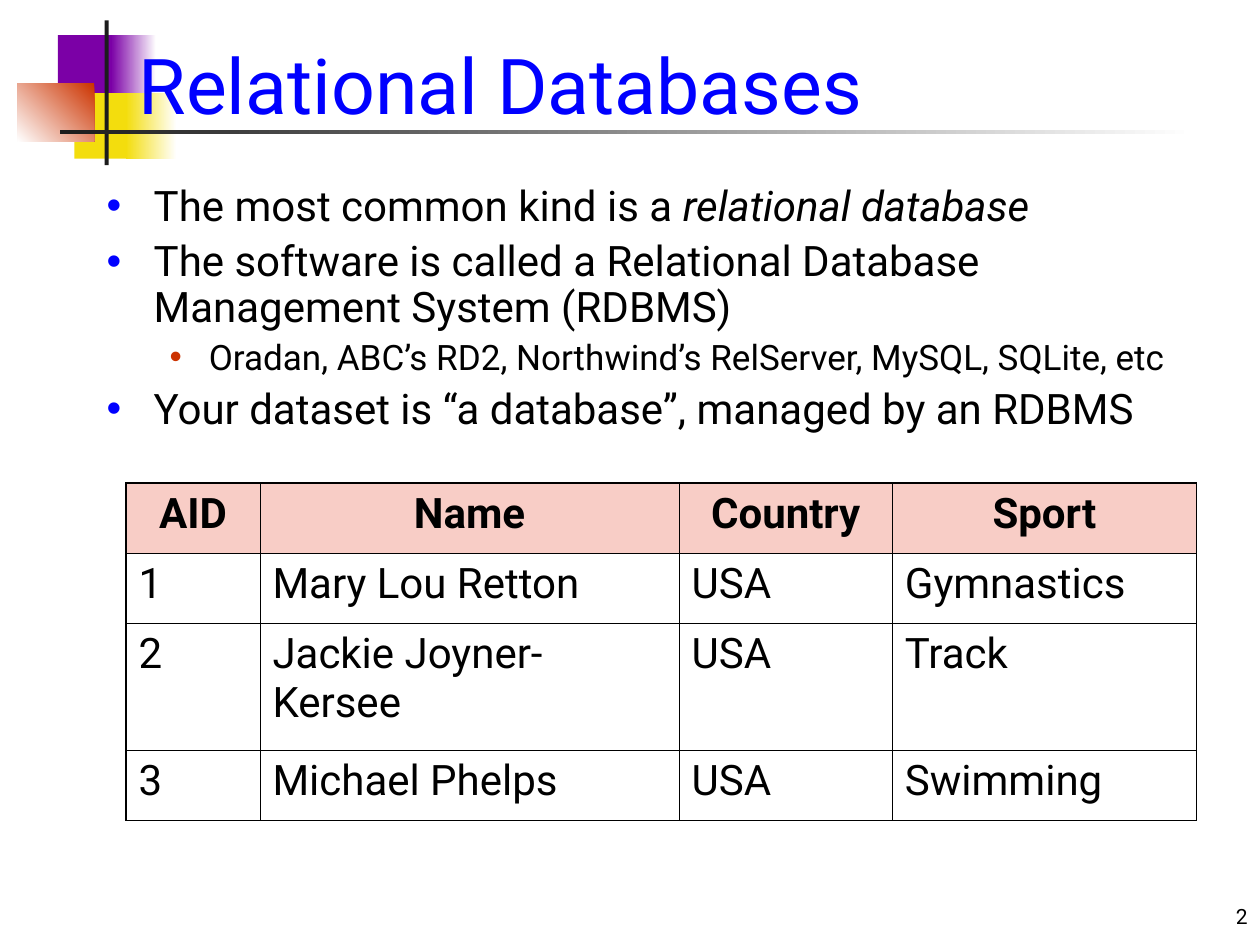
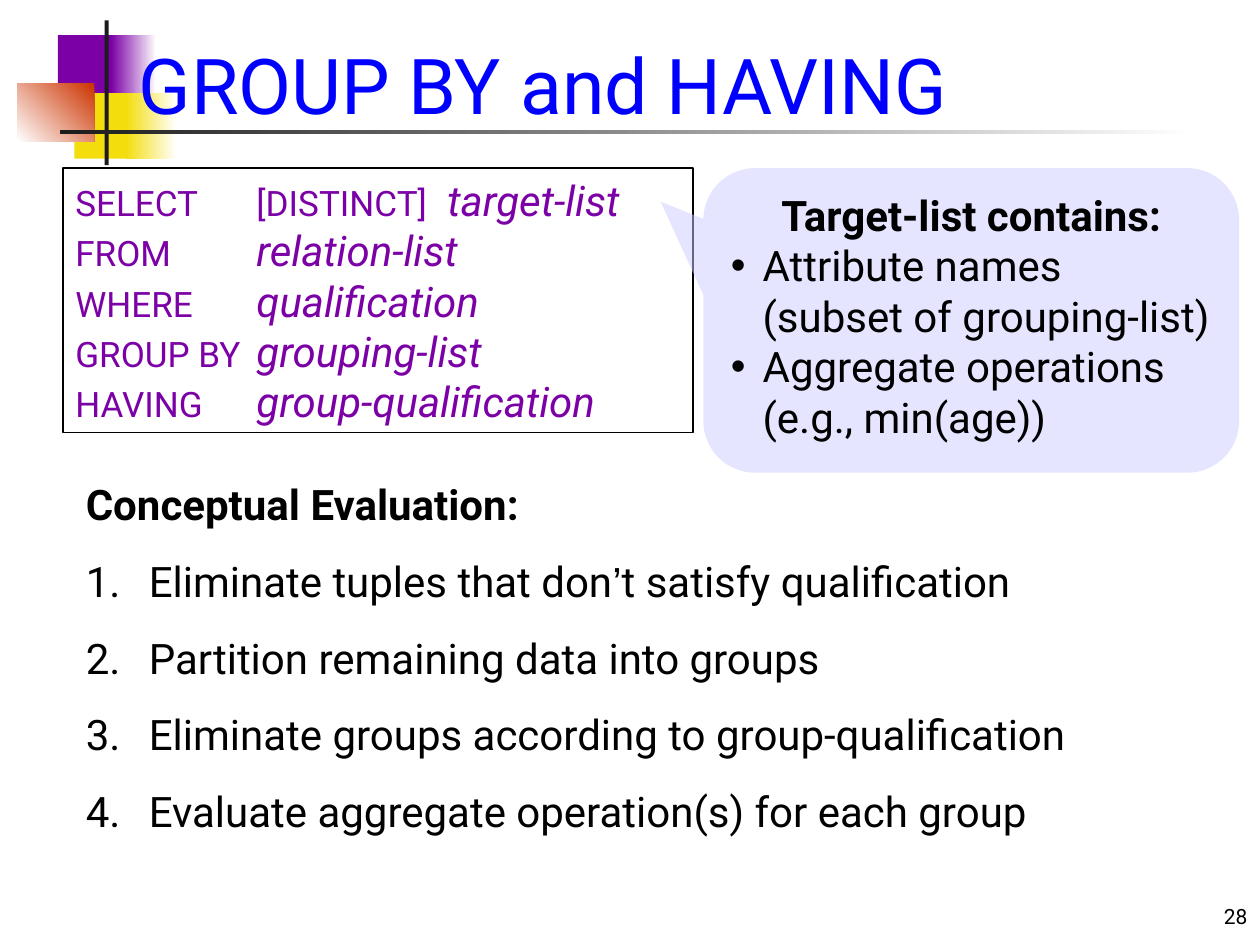
from dataclasses import dataclass

from lxml import etree
from pptx import Presentation
from pptx.dml.color import RGBColor
from pptx.enum.shapes import MSO_SHAPE
from pptx.enum.text import MSO_ANCHOR, MSO_AUTO_SIZE, PP_ALIGN
from pptx.oxml.ns import qn
from pptx.util import Cm, Pt

RECTANGLE = MSO_SHAPE.RECTANGLE
CALLOUT = MSO_SHAPE.ROUNDED_RECTANGULAR_CALLOUT
TOP, BOTTOM = MSO_ANCHOR.TOP, MSO_ANCHOR.BOTTOM
LEFT, CENTER, RIGHT = PP_ALIGN.LEFT, PP_ALIGN.CENTER, PP_ALIGN.RIGHT
NO_AUTOFIT = MSO_AUTO_SIZE.NONE
TITLE_ONLY = 5


@dataclass(frozen=True)
class Theme:
    font: str = "Roboto"
    fallback_font: str = "Arial"
    black: str = "000000"
    white: str = "FFFFFF"
    blue: str = "0000FF"
    purple: str = "7B00A6"
    yellow: str = "F3DD0D"
    red: str = "CC3300"
    charcoal: str = "1C1C1C"
    header_pink: str = "F8CDC6"
    callout_lilac: str = "CCCCFF"
    title_size: int = 44
    text_size: int = 24
    small_size: int = 20
    number_size: int = 12
    inner_border: float = 0.45
    outer_border: float = 1.08


THEME = Theme()


def rgb(color):
    return RGBColor.from_string(color)


def add_child(parent, tag, **attributes):
    values = {name: str(value) for name, value in attributes.items()}
    return etree.SubElement(parent, qn(tag), values)


def add_bullet(properties, bullet, color):
    """Add a bullet character, or automatic numbers when bullet is "1."."""
    bullet_color = add_child(properties, "a:buClr")
    add_child(bullet_color, "a:srgbClr", val=color)
    if bullet == "1.":
        add_child(properties, "a:buFont", typeface=THEME.font)
        add_child(properties, "a:buAutoNum", type="arabicPeriod")
    else:
        add_child(properties, "a:buFont", typeface=THEME.fallback_font)
        add_child(properties, "a:buChar", char=bullet)


def write(frame, text, *, font=THEME.font, size=THEME.text_size, color=THEME.black,
          bold=False, italic=False, align=LEFT, space_before=0, line_spacing=None,
          level=0, bullet=None, bullet_color=THEME.black, indent=0, hanging=0, tabs=()):
    """Add a paragraph; text is a string or a list of (string, run format) pairs."""
    paragraph = frame.paragraphs[0]
    is_first = not paragraph.runs
    if not is_first:
        paragraph = frame.add_paragraph()
    paragraph.alignment = align
    paragraph.level = level
    paragraph.space_before = Pt(0 if is_first else space_before)
    if line_spacing:
        paragraph.line_spacing = line_spacing

    properties = paragraph._p.get_or_add_pPr()
    if bullet:
        properties.set("marL", str(Cm(indent)))
        properties.set("indent", str(-Cm(hanging)))
        add_bullet(properties, bullet, bullet_color)
    if tabs:
        tab_list = add_child(properties, "a:tabLst")
        for position in tabs:
            add_child(tab_list, "a:tab", pos=Cm(position), algn="l")

    base = dict(font=font, size=size, bold=bold, italic=italic)
    for content, changes in [(text, {})] if isinstance(text, str) else text:
        style = {**base, **changes}
        run = paragraph.add_run()
        run.text = content
        run.font.name = style["font"]
        run.font.size = Pt(style["size"])
        run.font.bold = style["bold"]
        run.font.italic = style["italic"]
        run.font.color.rgb = rgb(color)


def add_text_box(slide, left, top, width, height, anchor=TOP):
    box = slide.shapes.add_textbox(Cm(left), Cm(top), Cm(width), Cm(height))
    box.text_frame.word_wrap = True
    box.text_frame.vertical_anchor = anchor
    return box.text_frame


def add_block(slide, left, top, width, height, preset=RECTANGLE, fill=None,
              gradient=None, outline=None):
    """Add a shape; gradient is (start colour, end colour, angle)."""
    block = slide.shapes.add_shape(preset, Cm(left), Cm(top), Cm(width), Cm(height))
    block.shadow.inherit = False
    block.text_frame.word_wrap = True
    block.text_frame.vertical_anchor = TOP
    if gradient:
        *colors, angle = gradient
        block.fill.gradient()
        block.fill.gradient_angle = angle
        for stop, color in zip(block.fill.gradient_stops, colors):
            stop.color.rgb = rgb(color)
    elif fill:
        block.fill.solid()
        block.fill.fore_color.rgb = rgb(fill)
    else:
        block.fill.background()
    if outline:
        block.line.color.rgb = rgb(outline)
        block.line.width = Pt(1)
    else:
        block.line.fill.background()
    return block


def decorate_layout(slide):
    """Build the corner ornament and title rule, and move them to the layout."""
    ornament = [
        ((1.17, 0.71, 1.22, 1.32), dict(fill=THEME.purple)),
        ((2.24, 0.71, 0.91, 1.32), dict(gradient=(THEME.white, THEME.purple, 180))),
        ((1.5, 1.88, 1.17, 1.32), dict(fill=THEME.yellow)),
        ((2.54, 1.88, 1.02, 1.32), dict(gradient=(THEME.white, THEME.yellow, 180))),
        ((0.35, 1.68, 1.55, 1.17), dict(gradient=(THEME.red, THEME.white, 225))),
        ((2.11, 0.41, 0.08, 2.92), dict(fill=THEME.charcoal)),
        ((1.22, 2.62, 22.86, 0.08), dict(gradient=(THEME.white, THEME.charcoal, 180))),
    ]
    for bounds, paint in ornament:
        block = add_block(slide, *bounds, **paint)
        slide.slide_layout.shapes.element.append(block.element)


def add_titled_slide(deck, title, number):
    slide = deck.slides.add_slide(deck.slide_layouts[TITLE_ONLY])
    heading = slide.shapes.title
    heading.left, heading.top = Cm(2.54), Cm(-0.43)
    heading.width, heading.height = Cm(22.43), Cm(3.18)
    heading.text_frame.vertical_anchor = BOTTOM
    heading.text_frame.auto_size = NO_AUTOFIT
    write(heading.text_frame, title, size=THEME.title_size, color=THEME.blue)
    page = add_text_box(slide, 20.12, 17.58, 5.28, 1.27, anchor=BOTTOM)
    write(page, str(number), size=THEME.number_size, align=RIGHT)
    return slide


def set_borders(cell, **widths):
    properties = cell._tc.get_or_add_tcPr()
    for side in "LRTB":
        line = add_child(properties, f"a:ln{side}", w=Pt(widths[side]))
        add_child(add_child(line, "a:solidFill"), "a:srgbClr", val=THEME.black)


def add_grid(slide, left, top, column_widths, row_heights, rows):
    frame = slide.shapes.add_table(len(rows), len(column_widths), Cm(left), Cm(top),
                                   Cm(sum(column_widths)), Cm(sum(row_heights)))
    grid = frame.table
    grid.horz_banding = False
    for column, width in zip(grid.columns, column_widths):
        column.width = Cm(width)
    for row, height in zip(grid.rows, row_heights):
        row.height = Cm(height)

    last_row, last_column = len(rows) - 1, len(column_widths) - 1
    for r, values in enumerate(rows):
        for c, value in enumerate(values):
            cell = grid.cell(r, c)
            at_edge = dict(L=c == 0, R=c == last_column, T=r == 0, B=r == last_row)
            set_borders(cell, **{
                side: THEME.outer_border if outer else THEME.inner_border
                for side, outer in at_edge.items()})
            is_header = r == 0
            if is_header:
                cell.fill.solid()
                cell.fill.fore_color.rgb = rgb(THEME.header_pink)
            else:
                cell.fill.background()
            write(cell.text_frame, value, bold=is_header,
                  align=CENTER if is_header else LEFT)


def add_relational_slide(deck):
    slide = add_titled_slide(deck, "Relational Databases", 2)
    decorate_layout(slide)
    point = dict(bullet="•", bullet_color=THEME.blue, indent=0.95, hanging=0.95,
                 space_before=6, line_spacing=0.9)
    example = dict(point, bullet_color=THEME.red, indent=2.06, hanging=0.79,
                   space_before=5, level=1, size=THEME.small_size)
    body = add_text_box(slide, 1.9, 3.6, 22.43, 13.34)
    write(body, [("The most common kind is a ", {}),
                 ("relational database", dict(italic=True))], **point)
    write(body, "The software is called a Relational Database "
                "Management System (RDBMS)", **point)
    write(body, "Oradan, ABC’s RD2, Northwind’s RelServer, MySQL, SQLite, etc", **example)
    write(body, "Your dataset is “a database”, managed by an RDBMS", **point)

    athletes = [
        ("AID", "Name", "Country", "Sport"),
        ("1", "Mary Lou Retton", "USA", "Gymnastics"),
        ("2", "Jackie Joyner-Kersee", "USA", "Track"),
        ("3", "Michael Phelps", "USA", "Swimming"),
    ]
    add_grid(slide, 2.54, 9.74, (2.7, 8.45, 4.3, 6.13), (1.41, 1.41, 2.57, 1.41), athletes)


def add_grouping_slide(deck):
    slide = add_titled_slide(deck, "GROUP BY and HAVING", 28)

    query = add_block(slide, 1.27, 3.39, 12.7, 5.33, outline=THEME.black).text_frame
    keyword = dict(size=THEME.small_size)
    clauses = [
        ("SELECT\t[DISTINCT]\t", "target-list"),
        ("FROM\t", "relation-list"),
        ("WHERE\t", "qualification"),
        ("GROUP BY\t", "grouping-list"),
        ("HAVING\t", "group-qualification"),
    ]
    for words, argument in clauses:
        write(query, [(words, keyword), (argument, dict(italic=True))],
              color=THEME.purple, tabs=(3.65, 7.5))

    evaluation = add_text_box(slide, 1.48, 9.53, 22.01, 7.47)
    write(evaluation, "Conceptual Evaluation:", bold=True)
    steps = [
        [("Eliminate tuples that don", {}), ("’", dict(font=THEME.fallback_font)),
         ("t satisfy qualification", {})],
        "Partition remaining data into groups",
        "Eliminate groups according to group-qualification",
        "Evaluate aggregate operation(s) for each group",
    ]
    for step in steps:
        write(evaluation, step, bullet="1.", indent=1.27, hanging=1.27, space_before=15)

    callout = add_block(slide, 14.18, 3.39, 10.8, 6.14, preset=CALLOUT,
                        fill=THEME.callout_lilac)
    for index, value in enumerate((-0.58, -0.39, 0.17)):
        callout.adjustments[index] = value
    fill_color = callout.element.spPr.find(qn("a:solidFill")).find(qn("a:srgbClr"))
    add_child(fill_color, "a:alpha", val=50000)
    write(callout.text_frame, "Target-list contains:", bold=True, align=CENTER)
    for item in ("Attribute names (subset of grouping-list)",
                 "Aggregate operations (e.g., min(age))"):
        write(callout.text_frame, item, bullet="•", indent=0.64, hanging=0.64)


def main():
    deck = Presentation()
    deck.slide_width, deck.slide_height = Cm(25.4), Cm(19.05)
    add_relational_slide(deck)
    add_grouping_slide(deck)
    deck.save("out.pptx")


if __name__ == "__main__":
    main()
